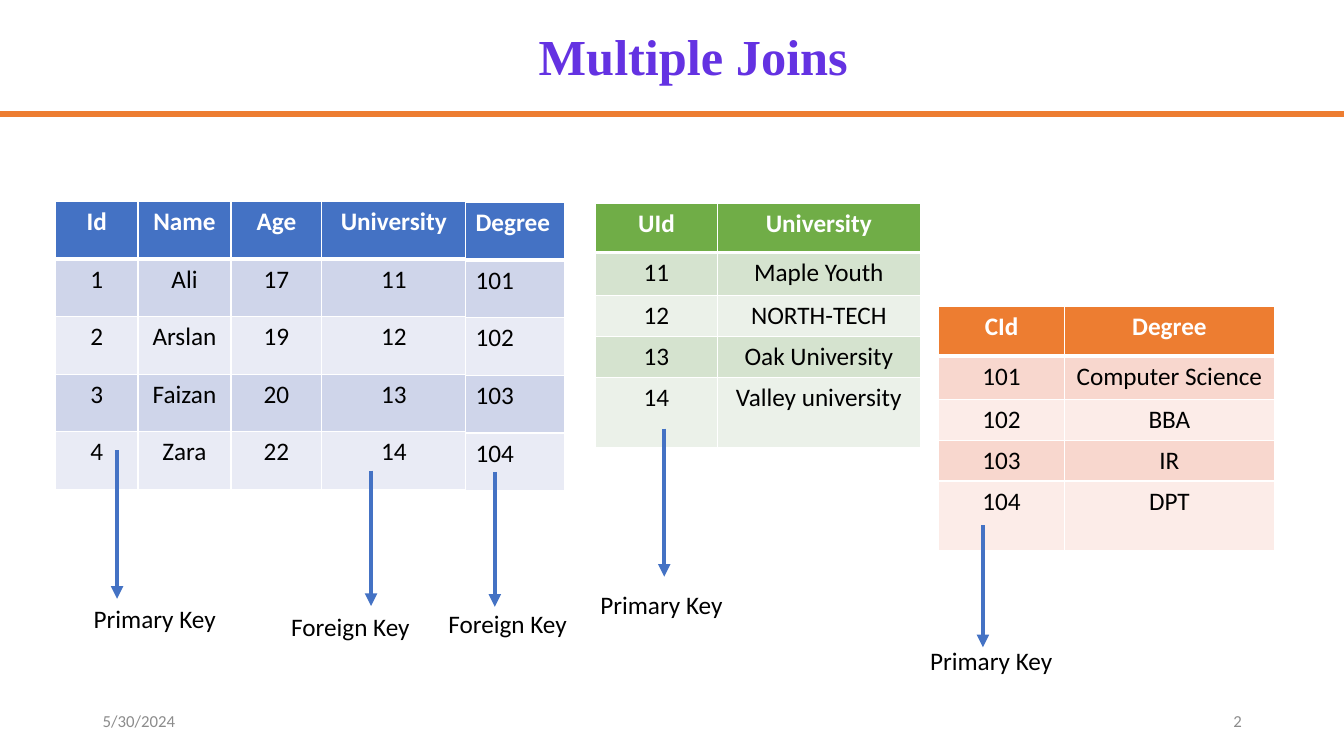
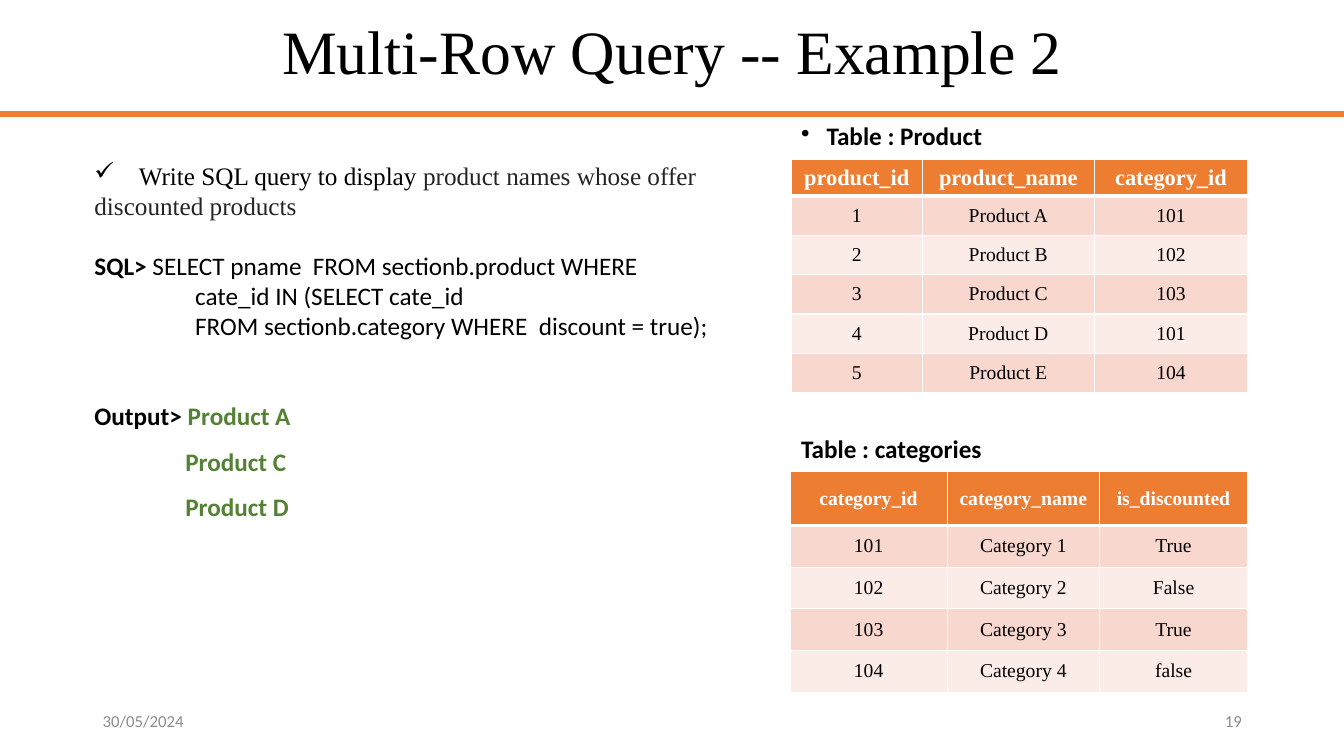
from lxml.etree import SubElement
from pptx import Presentation
from pptx.dml.color import RGBColor
from pptx.enum.shapes import MSO_CONNECTOR
from pptx.enum.text import MSO_ANCHOR as Anchor, MSO_AUTO_SIZE as AutoSize, PP_ALIGN as Align
from pptx.oxml.ns import qn
from pptx.util import Cm, Pt

WHITE = RGBColor(0xFF, 0xFF, 0xFF)
BLACK = RGBColor(0x00, 0x00, 0x00)
INK = RGBColor(0x24, 0x24, 0x24)
GREY = RGBColor(0x8C, 0x8C, 0x8C)
VIOLET = RGBColor(0x64, 0x32, 0xE2)
BLUE = RGBColor(0x44, 0x72, 0xC4)
GREEN = RGBColor(0x70, 0xAD, 0x47)
DARK_GREEN = RGBColor(0x54, 0x82, 0x35)
ORANGE = RGBColor(0xED, 0x7D, 0x31)
# Header colour -> the two alternating row colours
BANDS = {
    BLUE: (RGBColor(0xCF, 0xD5, 0xEA), RGBColor(0xE9, 0xEB, 0xF5)),
    GREEN: (RGBColor(0xD5, 0xE3, 0xCF), RGBColor(0xEB, 0xF1, 0xE9)),
    ORANGE: (RGBColor(0xF8, 0xD7, 0xCE), RGBColor(0xFC, 0xEC, 0xE8)),
}
SANS, SERIF = "Calibri", "Times New Roman"

# All positions and sizes below are in centimetres.
SLIDE_WIDTH, SLIDE_HEIGHT = 33.87, 19.05
RULE_TOP = 2.87
FOOTER_TOP, FOOTER_WIDTH, FOOTER_HEIGHT = 17.65, 7.62, 1.02
DATE_LEFT, NUMBER_LEFT = 2.34, 23.93
KEY_LABEL_SIZE = (3.86, 1.02)

STUDENT_ROWS = [1.45] * 5
LOOKUP_ROWS = [1.24, 1.09, 1.03, 1.03, 1.76]
JOIN_TABLES = [
    dict(
        position=(1.4, 5.08), columns=[2.08, 2.34, 2.29, 3.63], heights=STUDENT_ROWS, color=BLUE,
        rows=[
            ("Id", "Name", "Age", "University"),
            ("1", "Ali", "17", "11"),
            ("2", "Arslan", "19", "12"),
            ("3", "Faizan", "20", "13"),
            ("4", "Zara", "22", "14"),
        ],
    ),
    dict(
        position=(11.73, 5.11), columns=[2.51], heights=STUDENT_ROWS, color=BLUE, align=Align.LEFT,
        rows=[("Degree",), ("101",), ("102",), ("103",), ("104",)],
    ),
    dict(
        position=(15.01, 5.12), columns=[3.07, 5.11], heights=LOOKUP_ROWS, color=GREEN,
        rows=[
            ("UId", "University"),
            ("11", "Maple Youth"),
            ("12", "NORTH-TECH"),
            ("13", "Oak University"),
            ("14", "Valley university"),
        ],
    ),
    dict(
        position=(23.65, 7.73), columns=[3.18, 5.28], heights=LOOKUP_ROWS, color=ORANGE,
        rows=[
            ("CId", "Degree"),
            ("101", "Computer Science"),
            ("102", "BBA"),
            ("103", "IR"),
            ("104", "DPT"),
        ],
    ),
]
# Label, label left and top, arrow x, arrow start and end
KEYS = [
    ("Primary Key", 2.11, 15.09, 2.95, 11.35, 15.09),
    ("Foreign Key", 7.09, 15.27, 9.35, 11.86, 15.27),
    ("Foreign Key", 11.05, 15.21, 12.47, 11.89, 15.29),
    ("Primary Key", 14.88, 14.73, 16.74, 10.8, 14.53),
    ("Primary Key", 23.19, 16.13, 24.77, 13.23, 16.31),
]

QUERY_TABLES = [
    dict(
        position=(19.94, 4.01), columns=[3.3, 4.34, 3.86], heights=[0.91] + [0.99] * 5,
        color=ORANGE, font=SERIF, sizes=(16, 14), anchor=Anchor.MIDDLE,
        rows=[
            ("product_id", "product_name", "category_id"),
            ("1", "Product A", "101"),
            ("2", "Product B", "102"),
            ("3", "Product C", "103"),
            ("4", "Product D", "101"),
            ("5", "Product E", "104"),
        ],
    ),
    dict(
        position=(19.91, 11.89), columns=[3.96, 3.84, 3.73], heights=[1.35] + [1.05] * 4,
        color=ORANGE, font=SERIF, sizes=(14, 14), anchor=Anchor.MIDDLE,
        rows=[
            ("category_id", "category_name", "is_discounted"),
            ("101", "Category 1", "True"),
            ("102", "Category 2", "False"),
            ("103", "Category 3", "True"),
            ("104", "Category 4", "false"),
        ],
    ),
]
CAPTIONS = [
    (3.0, dict(runs=[("Table : Product", dict(bold=True))], spacing=0.9, bullet="•", indent=0.64)),
    (10.87, dict(runs=[("Table : categories", dict(bold=True))], spacing=0.9)),
]
TASK, OUTPUT = dict(font=SERIF, color=INK), dict(bold=True, color=DARK_GREEN)
QUERY_TEXT = [
    dict(runs=[("Write SQL query to display ", dict(font=SERIF)), ("product names whose offer", TASK)],
         bullet="✓", indent=1.12),
    dict(runs=[("discounted products", TASK)]),
    dict(runs=[("SQL>", dict(bold=True)), (" SELECT pname  FROM sectionb.product WHERE", {})], before=21),
    dict(runs=[("cate_id IN (SELECT cate_id", {})], indent=2.54),
    dict(runs=[("FROM sectionb.category WHERE  discount = true);", {})], indent=2.54),
    dict(runs=[("Output> ", dict(bold=True)), ("Product A", OUTPUT)], spacing=1.5, before=32),
    dict(runs=[("Product C", OUTPUT)], spacing=1.5, indent=2.29),
    dict(runs=[("Product D", OUTPUT)], spacing=1.5, indent=2.29),
]


def format_run(run, size=18, font=SANS, color=BLACK, bold=False):
    run.font.size, run.font.name, run.font.bold = Pt(size), font, bold
    run.font.color.rgb = color


def set_text(text_frame, text, align=Align.LEFT, **style):
    """Fill the frame with one paragraph in one style."""
    text_frame.text = text
    paragraph = text_frame.paragraphs[0]
    paragraph.alignment = align
    format_run(paragraph.runs[0], **style)
    return paragraph


def add_text_box(slide, left, top, width, height, anchor=Anchor.TOP):
    text_frame = slide.shapes.add_textbox(Cm(left), Cm(top), Cm(width), Cm(height)).text_frame
    text_frame.word_wrap = True
    text_frame.vertical_anchor = anchor
    return text_frame


def add_paragraphs(text_frame, paragraphs):
    for index, item in enumerate(paragraphs):
        paragraph = text_frame.add_paragraph() if index else text_frame.paragraphs[0]
        paragraph.line_spacing = item.get("spacing", 1.0)
        paragraph.space_before = Pt(item.get("before", 0))
        for text, style in item["runs"]:
            run = paragraph.add_run()
            run.text = text
            format_run(run, **style)
        properties = paragraph._p.get_or_add_pPr()
        indent = Cm(item.get("indent", 0))
        properties.set("marL", str(indent))
        if "bullet" in item:
            properties.set("indent", str(-indent))
            SubElement(properties, qn("a:buChar"), char=item["bullet"])


def add_line(slide, start, end, color, width, arrow=False):
    connector = slide.shapes.add_connector(
        MSO_CONNECTOR.STRAIGHT, *(Cm(value) for value in (*start, *end)))
    connector.line.color.rgb = color
    connector.line.width = Pt(width)
    if arrow:
        SubElement(connector.line._get_or_add_ln(), qn("a:tailEnd"), type="triangle")
    SubElement(connector._element.spPr, qn("a:effectLst"))


def set_borders(cell, row_index):
    """White borders, thicker between the header and the first row."""
    widths = {"lnL": 1, "lnR": 1, "lnT": 3 if row_index == 1 else 1, "lnB": 3 if row_index == 0 else 1}
    properties = cell._tc.get_or_add_tcPr()
    for tag, width in widths.items():
        border = SubElement(properties, qn(f"a:{tag}"), w=str(Pt(width)))
        fill = SubElement(border, qn("a:solidFill"))
        SubElement(fill, qn("a:srgbClr"), val=str(WHITE))


def add_data_table(slide, position, columns, heights, color, rows, font=SANS,
                   sizes=(18, 18), align=Align.CENTER, anchor=Anchor.TOP):
    left, top = position
    table = slide.shapes.add_table(
        len(rows), len(columns), Cm(left), Cm(top), Cm(sum(columns)), Cm(sum(heights))).table
    table.horz_banding = False
    for column, width in zip(table.columns, columns):
        column.width = Cm(width)
    for row_index, (row, height, values) in enumerate(zip(table.rows, heights, rows)):
        row.height = Cm(height)
        header = row_index == 0
        for cell, value in zip(row.cells, values):
            set_borders(cell, row_index)
            cell.fill.solid()
            cell.fill.fore_color.rgb = color if header else BANDS[color][(row_index - 1) % 2]
            cell.vertical_anchor = anchor
            set_text(cell.text_frame, value, align, size=sizes[0 if header else 1], font=font,
                     color=WHITE if header else BLACK, bold=header)


def add_base_slide(presentation, title, title_box, date, number, **title_style):
    """Add a slide with the shared title, orange rule, date and number."""
    slide = presentation.slides.add_slide(presentation.slide_layouts[5])
    add_line(slide, (0, RULE_TOP), (SLIDE_WIDTH, RULE_TOP), ORANGE, 4.5)
    shape = slide.shapes.title
    shape.left, shape.top, shape.width, shape.height = (Cm(value) for value in title_box)
    shape.text_frame.auto_size = AutoSize.NONE
    shape.text_frame.vertical_anchor = Anchor.MIDDLE
    set_text(shape.text_frame, title, Align.CENTER, font=SERIF, **title_style).line_spacing = 0.9
    for text, left, align in ((date, DATE_LEFT, Align.LEFT), (number, NUMBER_LEFT, Align.RIGHT)):
        text_frame = add_text_box(slide, left, FOOTER_TOP, FOOTER_WIDTH, FOOTER_HEIGHT, Anchor.MIDDLE)
        set_text(text_frame, text, align, size=12, color=GREY)
    return slide


def build_joins_slide(presentation):
    slide = add_base_slide(presentation, "Multiple Joins", (2.87, 0.38, 29.21, 2.24),
                           "5/30/2024", "2", size=36, color=VIOLET, bold=True)
    for table in JOIN_TABLES:
        add_data_table(slide, **table)
    for label, left, top, x, start, end in KEYS:
        set_text(add_text_box(slide, left, top, *KEY_LABEL_SIZE), label)
        add_line(slide, (x, start), (x, end), BLUE, 3, arrow=True)


def build_query_slide(presentation):
    slide = add_base_slide(presentation, "Multi-Row Query -- Example 2", (2.34, 0, 29.21, 2.74),
                           "30/05/2024", "19", size=44)
    add_paragraphs(add_text_box(slide, 2.13, 3.91, 29.21, 14.88), QUERY_TEXT)
    for table in QUERY_TABLES:
        add_data_table(slide, **table)
    for top, caption in CAPTIONS:
        add_paragraphs(add_text_box(slide, 19.94, top, 6.4, 1.07), [caption])


def main():
    presentation = Presentation()
    presentation.slide_width, presentation.slide_height = Cm(SLIDE_WIDTH), Cm(SLIDE_HEIGHT)
    build_joins_slide(presentation)
    build_query_slide(presentation)
    presentation.save("out.pptx")


if __name__ == "__main__":
    main()
